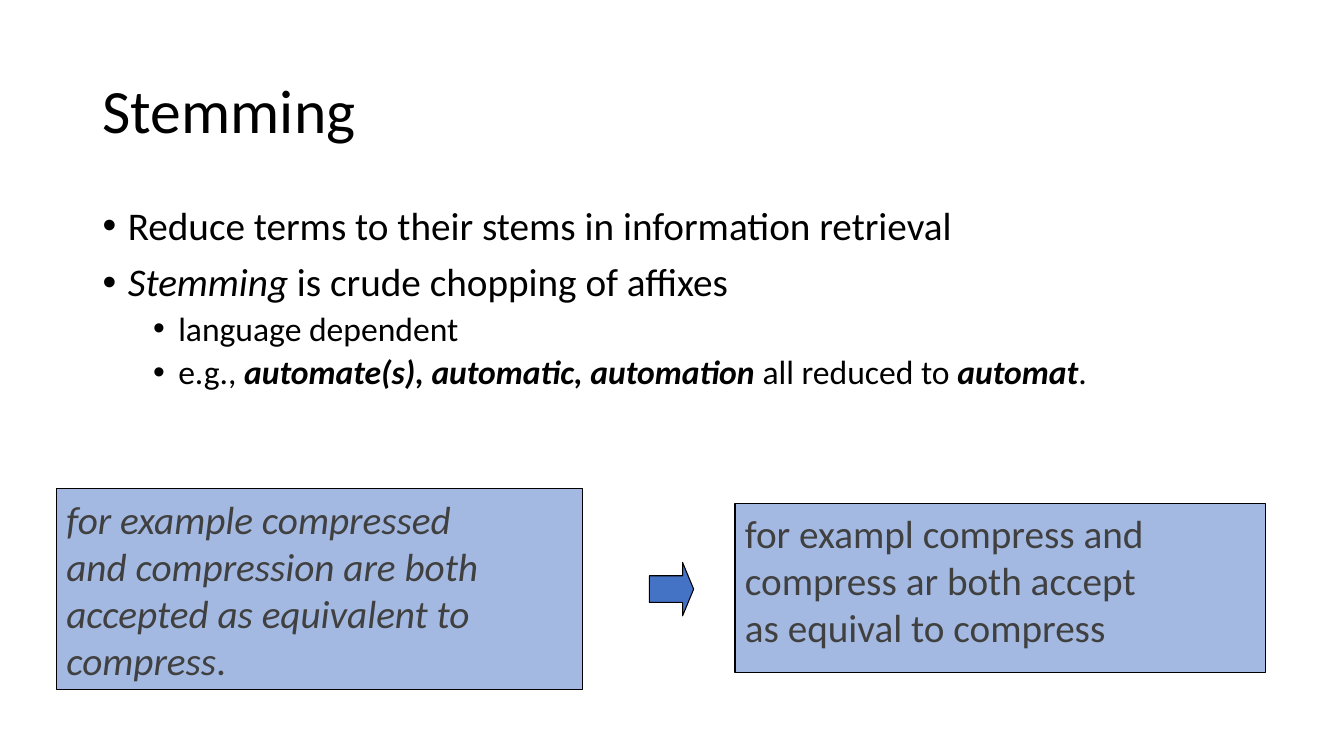
from lxml.etree import SubElement
from pptx import Presentation
from pptx.dml.color import RGBColor
from pptx.enum.shapes import MSO_SHAPE
from pptx.enum.text import MSO_ANCHOR, PP_ALIGN
from pptx.oxml.ns import qn
from pptx.util import Inches, Pt

COLORS = {"ink": "000000", "gray": "404040", "blue": "4472C4"}


class Deck:
    font = "Calibri"

    def __init__(self):
        self.prs = Presentation()
        self.prs.slide_width = Inches(13.33)
        self.prs.slide_height = Inches(7.5)
        self.slide = self.prs.slides.add_slide(self.prs.slide_layouts[6])

    def color(self, name):
        return RGBColor.from_string(COLORS[name])

    def fill_runs(self, para, parts, size, color):
        para.alignment = PP_ALIGN.LEFT
        for text, style in parts:
            run = para.add_run()
            run.text = text
            run.font.name = self.font
            run.font.size = Pt(size)
            run.font.color.rgb = self.color(color)
            run.font.bold = "b" in style
            run.font.italic = "i" in style

    def frame(self, box, anchor=MSO_ANCHOR.TOP):
        frame = box.text_frame
        frame.word_wrap = True
        frame.vertical_anchor = anchor
        return frame

    def text(self, *place):
        return self.slide.shapes.add_textbox(*map(Inches, place))

    def title(self, text, *place):
        para = self.frame(self.text(*place), MSO_ANCHOR.MIDDLE).paragraphs[0]
        para.line_spacing = 0.9
        self.fill_runs(para, [(text, "")], 44, "ink")

    def bullets(self, items, *place):
        frame = self.frame(self.text(*place))
        for index, (level, parts) in enumerate(items):
            para = frame.add_paragraph() if index else frame.paragraphs[0]
            para.level = level
            para.line_spacing = 0.9
            if index:
                para.space_before = Pt(5 if level else 10)
            props = para._p.get_or_add_pPr()
            props.set("marL", str(Inches(0.25 + 0.5 * level)))
            props.set("indent", str(Inches(-0.25)))
            SubElement(props, qn("a:buFont")).set("typeface", "Arial")
            SubElement(props, qn("a:buChar")).set("char", "•")
            self.fill_runs(para, parts, 24 if level else 28, "ink")

    def shape(self, kind, *place, alpha=100):
        shape = self.slide.shapes.add_shape(kind, *map(Inches, place))
        shape.shadow.inherit = False
        shape.fill.solid()
        shape.fill.fore_color.rgb = self.color("blue")
        if alpha < 100:
            tint = shape._element.spPr.find(".//" + qn("a:srgbClr"))
            SubElement(tint, qn("a:alpha")).set("val", str(alpha * 1000))
        shape.line.color.rgb = self.color("ink")
        shape.line.width = Pt(0.75)
        return shape

    def panel(self, lines, anchor, *place):
        box = self.shape(MSO_SHAPE.RECTANGLE, *place, alpha=49)
        frame = self.frame(box, anchor)
        for index, parts in enumerate(lines):
            para = frame.add_paragraph() if index else frame.paragraphs[0]
            self.fill_runs(para, parts, 28, "gray")

    def arrow(self, *place):
        arrow = self.shape(MSO_SHAPE.RIGHT_ARROW, *place)
        arrow.adjustments[0] = 0.5
        arrow.adjustments[1] = 0.25


def main():
    deck = Deck()
    deck.title("Stemming", 0.92, 0.4, 11.5, 1.45)
    deck.bullets([
        (0, [("Reduce terms to their stems in information retrieval", "")]),
        (0, [("Stemming", "i"), (" is crude chopping of affixes", "")]),
        (1, [("language dependent", "")]),
        (1, [("e.g., ", ""), ("automate(s), automatic, automation", "bi"),
             (" all reduced to ", ""), ("automat", "bi"), (".", "")]),
    ], 0.92, 2, 11.5, 4.76)
    deck.panel([
        [("for example compressed", "i")],
        [("and compression are both", "i")],
        [("accepted as equivalent to", "i")],
        [("compress", "i"), (".", "")],
    ], MSO_ANCHOR.MIDDLE, 0.56, 4.85, 5.22, 1.99)
    deck.panel([
        [("for exampl compress and", "")],
        [("compress ar both accept", "")],
        [("as equival to compress", "")],
    ], MSO_ANCHOR.TOP, 7.29, 5, 5.26, 1.67)
    deck.arrow(6.44, 5.58, 0.44, 0.53)
    deck.prs.save("out.pptx")


if __name__ == "__main__":
    main()
